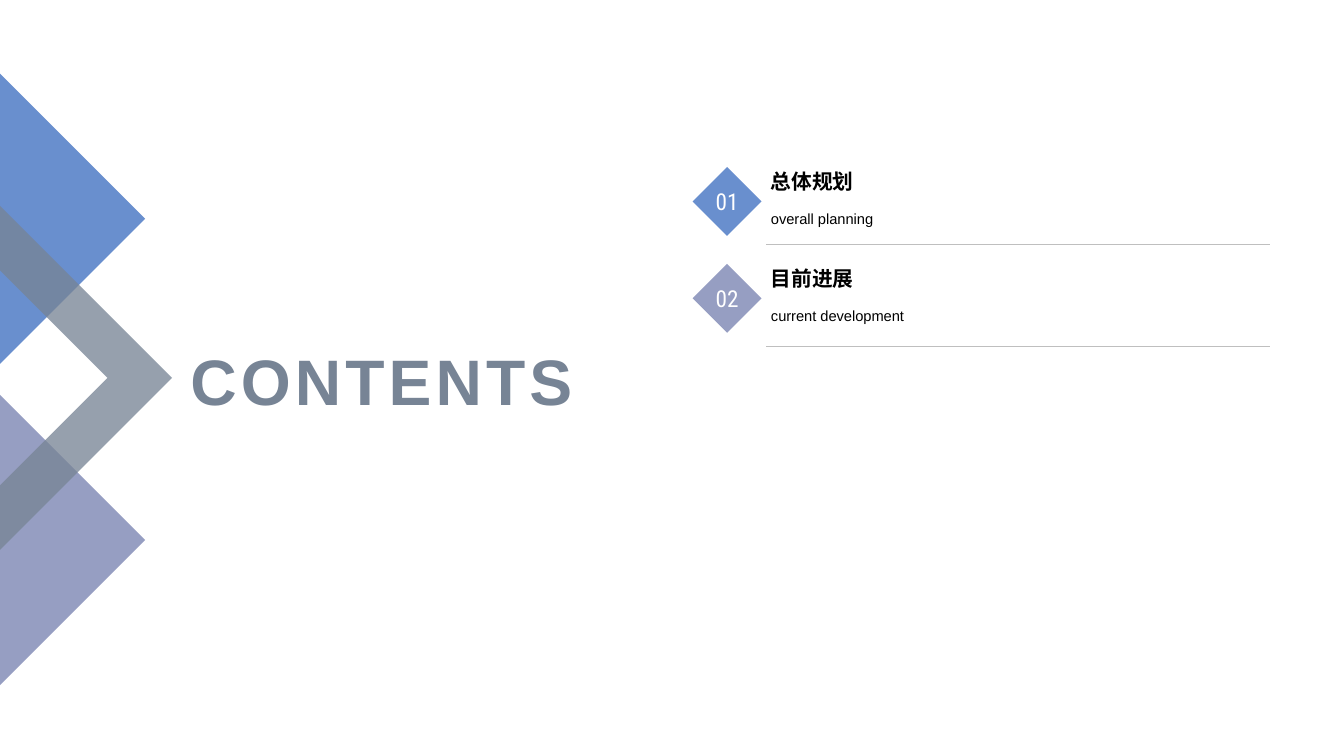
from dataclasses import dataclass

from lxml.etree import SubElement
from pptx import Presentation
from pptx.dml.color import RGBColor
from pptx.enum.shapes import MSO_CONNECTOR, MSO_SHAPE
from pptx.enum.text import MSO_ANCHOR, PP_ALIGN
from pptx.oxml.ns import qn
from pptx.util import Pt

BLUE, LILAC, SLATE = "698FCE", "969EC2", "778495"
WHITE, BLACK, RULE = "FFFFFF", "000000", "BFBFBF"


@dataclass
class Band:
    points: list[tuple[float, float]]
    color: str
    alpha: int = 100


@dataclass
class Entry:
    number: str
    title: str
    note: str
    color: str
    rule: float


# Left edge art, as outlines in points
BANDS = [
    Band([(0, 282), (103.7, 385.7), (0, 489.4)], LILAC),
    Band([(0, 52.5), (103.7, 156.2), (0, 259.9)], BLUE),
    Band([(122.9, 270), (0, 392.9), (0, 346.8), (76.8, 270),
          (0, 193.2), (0, 147.1)], SLATE, 77),
]

ENTRIES = [
    Entry("01", "总体规划", "overall planning", BLUE, 174.3),
    Entry("02", "目前进展", "current development", LILAC, 247.2),
]
TOP, PITCH, SIDE = 119.3, 69.2, 49.2

deck = Presentation()
deck.slide_width, deck.slide_height = Pt(960), Pt(540)
slide = deck.slides.add_slide(deck.slide_layouts[6])
shapes = slide.shapes


def paint(target, color: str) -> None:
    """Set a solid colour on a fill."""
    target.solid()
    target.fore_color.rgb = RGBColor.from_string(color)


def write(shape, text: str, *, size: float, color: str = BLACK,
          font: str = "Arial", bold: bool = False, align=PP_ALIGN.LEFT,
          anchor=MSO_ANCHOR.MIDDLE, wrap: bool = True,
          leading: float = 1.0, spacing: int = 0) -> None:
    frame = shape.text_frame
    frame.word_wrap, frame.vertical_anchor = wrap, anchor
    para = frame.paragraphs[0]
    para.alignment, para.line_spacing = align, leading
    run = para.add_run()
    run.text = text
    run.font.name, run.font.size, run.font.bold = font, Pt(size), bold
    paint(run.font.fill, color)
    if spacing:
        run.font._element.set("spc", str(spacing * 100))


def box(left: float, top: float, width: float, height: float):
    return shapes.add_textbox(Pt(left), Pt(top), Pt(width), Pt(height))


def flat(shape, color: str) -> None:
    """Plain fill with no line or shadow."""
    shape.shadow.inherit = False
    paint(shape.fill, color)
    shape.line.fill.background()


def draw_band(band: Band) -> None:
    start, *rest = [(Pt(x), Pt(y)) for x, y in band.points]
    path = shapes.build_freeform(*start)
    path.add_line_segments(rest, close=True)
    shape = path.convert_to_shape()
    flat(shape, band.color)
    if band.alpha < 100:
        tint = shape._element.spPr.find(".//" + qn("a:srgbClr"))
        SubElement(tint, qn("a:alpha")).set("val", str(band.alpha * 1000))


def draw_entry(entry: Entry, top: float) -> None:
    # Numbered diamond
    badge = shapes.add_shape(MSO_SHAPE.DIAMOND, Pt(494.8), Pt(top),
                             Pt(SIDE), Pt(SIDE))
    flat(badge, entry.color)
    write(badge, entry.number, size=16.6, color=WHITE,
          font="Roboto Condensed", align=PP_ALIGN.CENTER, wrap=False)
    # Title and note
    write(box(543.6, top - 1.2, 312, 23.8), entry.title, size=14.8,
          bold=True, anchor=MSO_ANCHOR.BOTTOM)
    write(box(543.6, top + 23, 312, 25.2), entry.note, size=10.5,
          leading=1.2)
    # Rule below
    line = shapes.add_connector(MSO_CONNECTOR.STRAIGHT, Pt(547.2),
                                Pt(entry.rule), Pt(907.2), Pt(entry.rule))
    paint(line.line.fill, RULE)
    line.line.width = Pt(0.25)
    SubElement(line._element.spPr, qn("a:effectLst"))


def main() -> None:
    for band in BANDS:
        draw_band(band)
    write(box(121.7, 234.7, 294.5, 72.7), "CONTENTS", size=45.9,
          color=SLATE, bold=True, align=PP_ALIGN.RIGHT, spacing=3)
    for row, entry in enumerate(ENTRIES):
        draw_entry(entry, TOP + row * PITCH)
    deck.save("out.pptx")


if __name__ == "__main__":
    main()
